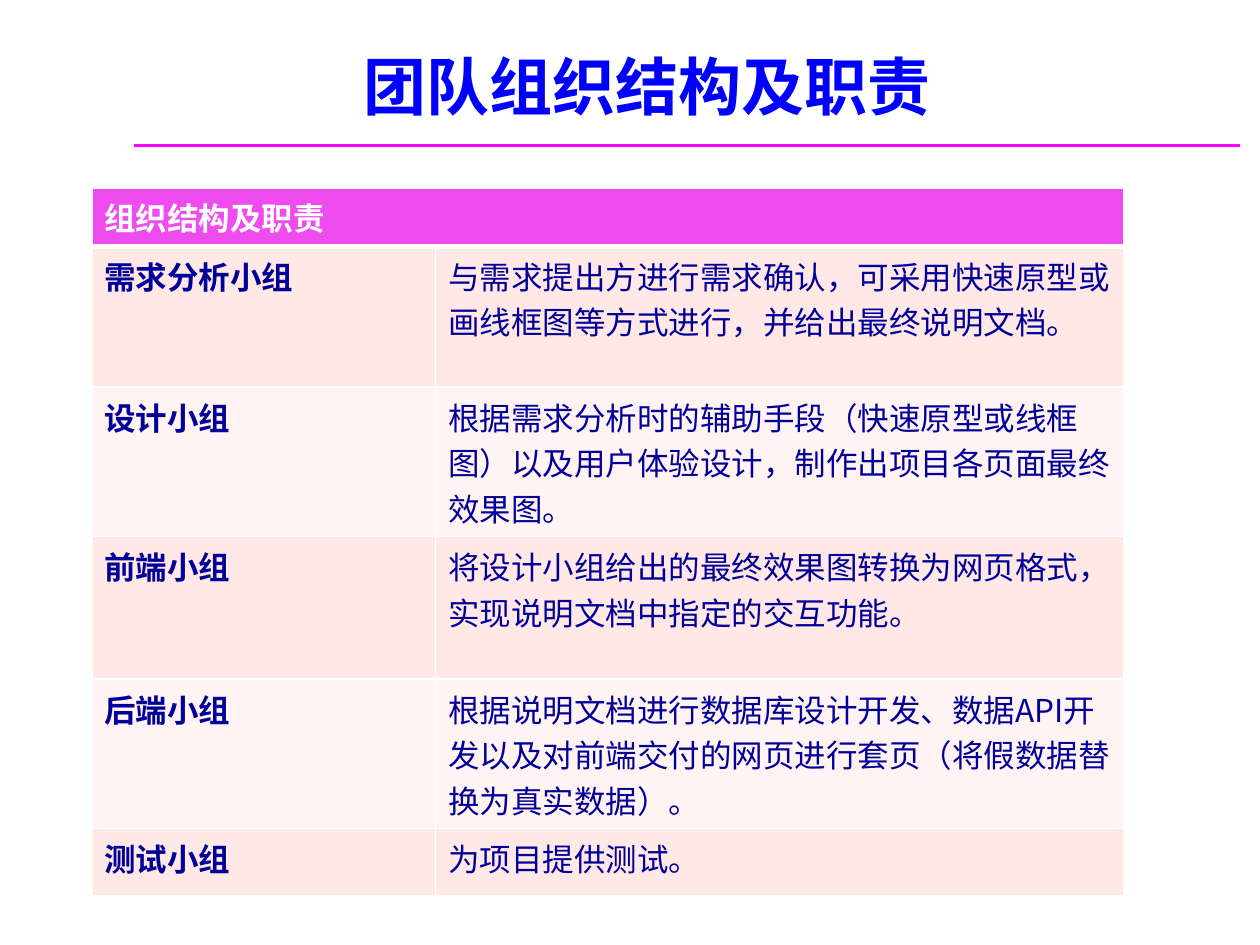
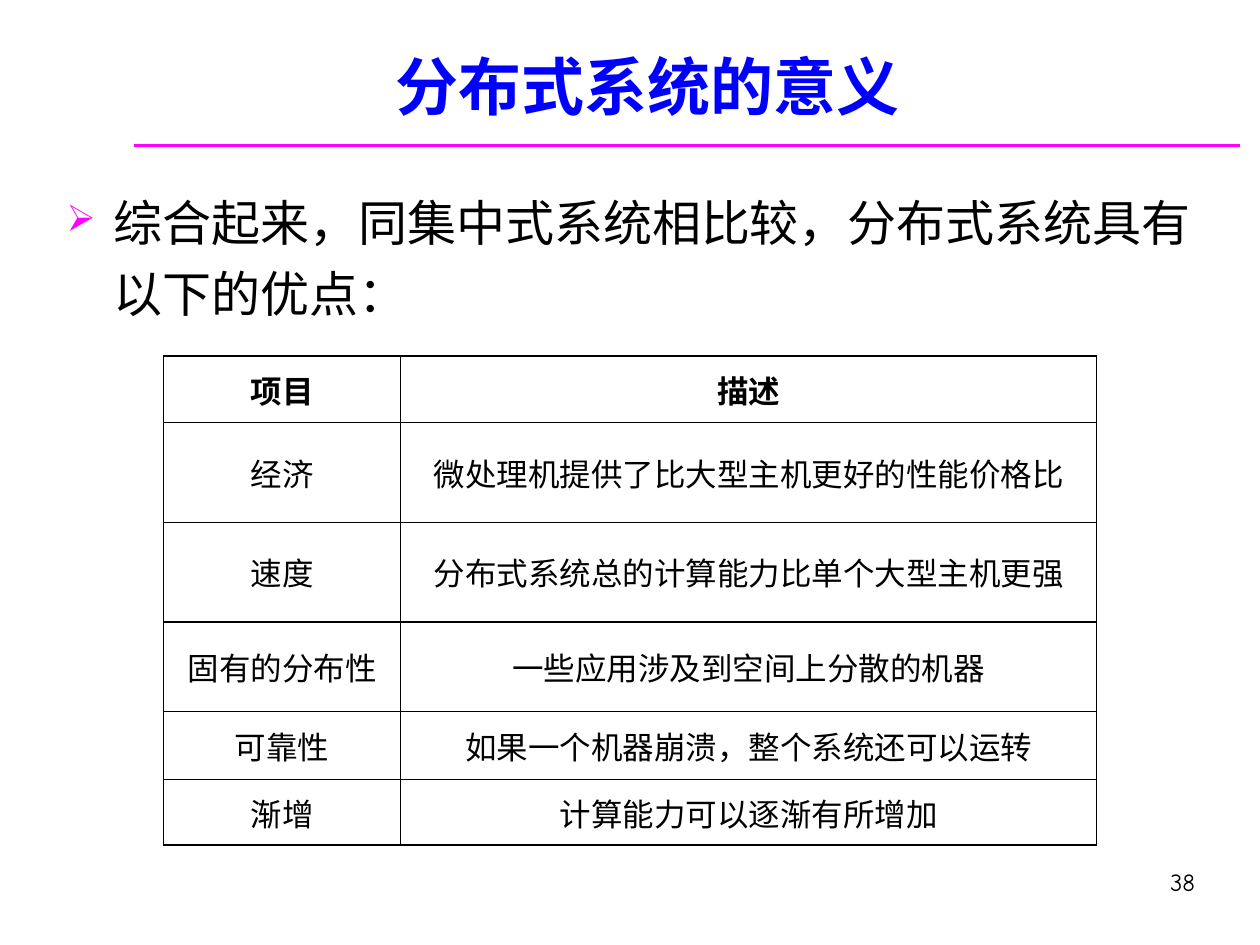
"""Build two slides: team roles and the merits of distributed systems."""
from lxml import etree
from pptx import Presentation
from pptx.dml.color import RGBColor
from pptx.enum import shapes, text
from pptx.oxml import ns
from pptx.util import Pt

COLORS = {
    "title": "0000FF", "rule": "FF00FF", "header": "E700E7", "odd": "FFD3CE",
    "even": "FFEAE8", "navy": "000099", "white": "FFFFFF", "black": "000000",
}
CJK, COMIC, TIMES = "Noto Sans CJK SC", "Comic Neue", "Times New Roman"

TEAM_TITLE = "团队组织结构及职责"
TEAM_HEADER = "组织结构及职责"
TEAMS = [
    ("需求分析小组", "与需求提出方进行需求确认，可采用快速原型或画线框图等方式进行，并给出最终说明文档。"),
    ("设计小组", "根据需求分析时的辅助手段（快速原型或线框图）以及用户体验设计，制作出项目各页面最终效果图。"),
    ("前端小组", "将设计小组给出的最终效果图转换为网页格式，实现说明文档中指定的交互功能。"),
    ("后端小组", "根据说明文档进行数据库设计开发、数据API开发以及对前端交付的网页进行套页（将假数据替换为真实数据）。"),
    ("测试小组", "为项目提供测试。"),
]
TEAM_COLS = (196.5, 393)
TEAM_ROWS = (30.5, 80.5, 81.5, 81.5, 81.5, 38.5)

MERIT_TITLE = "分布式系统的意义"
MERIT_INTRO = "综合起来，同集中式系统相比较，分布式系统具有以下的优点："
MERITS = [
    ("项目", "描述"),
    ("经济", "微处理机提供了比大型主机更好的性能价格比"),
    ("速度", "分布式系统总的计算能力比单个大型主机更强"),
    ("固有的分布性", "一些应用涉及到空间上分散的机器"),
    ("可靠性", "如果一个机器崩溃，整个系统还可以运转"),
    ("渐增", "计算能力可以逐渐有所增加"),
]
MERIT_COLS = (135.5, 397.5)
MERIT_ROWS = (38, 57, 57, 51, 39, 37.5)
PAGE_NUMBER = "38"


def rgb(name):
    return RGBColor.from_string(COLORS[name])


def add_xml(parent, tag, **attrs):
    return etree.SubElement(parent, ns.qn(tag), attrs)


def write(tf, words, size, font, color, bold=False, align=text.PP_ALIGN.LEFT):
    tf.text = words
    p = tf.paragraphs[0]
    p.alignment = align
    p.font.size, p.font.name, p.font.bold = Pt(size), font, bold
    p.font.color.rgb = rgb(color)
    add_xml(p._p.pPr.find(ns.qn("a:defRPr")), "a:ea", typeface=CJK)
    return p


def add_slide(prs, title):
    s = prs.slides.add_slide(prs.slide_layouts[5])
    sp = s.shapes.title
    sp.left, sp.top, sp.width, sp.height = Pt(34), Pt(6.5), Pt(672), Pt(67.5)
    tf = sp.text_frame
    tf.vertical_anchor = text.MSO_ANCHOR.BOTTOM
    tf.auto_size = text.MSO_AUTO_SIZE.NONE
    write(tf, title, 36, CJK, "title", True, text.PP_ALIGN.CENTER)
    rule = s.shapes.add_connector(
        shapes.MSO_CONNECTOR.STRAIGHT, Pt(76.5), Pt(83), Pt(708.5), Pt(83))
    rule.line.color.rgb = rgb("rule")
    rule.line.width = Pt(1.5)
    add_xml(rule._element.spPr, "a:effectLst")
    return s


def add_text(s, left, top, width, height):
    tf = s.shapes.add_textbox(Pt(left), Pt(top), Pt(width), Pt(height)).text_frame
    tf.word_wrap = True
    return tf


def add_table(s, left, top, cols, rows):
    table = s.shapes.add_table(
        len(rows), len(cols), Pt(left), Pt(top), Pt(sum(cols)), Pt(sum(rows))).table
    table.first_row = table.horz_banding = False
    for column, width in zip(table.columns, cols):
        column.width = Pt(width)
    for row, height in zip(table.rows, rows):
        row.height = Pt(height)
    return table


def set_borders(cell, color, top=1, bottom=1):
    tc_pr = cell._tc.get_or_add_tcPr()
    for side, width in (("L", 1), ("R", 1), ("T", top), ("B", bottom)):
        ln = add_xml(tc_pr, "a:ln" + side, w=str(Pt(width)))
        add_xml(add_xml(ln, "a:solidFill"), "a:srgbClr", val=COLORS[color])


def set_fill(cell, color, opacity):
    cell.fill.solid()
    cell.fill.fore_color.rgb = rgb(color)
    clr = cell._tc.tcPr.find(ns.qn("a:solidFill"))[0]
    add_xml(clr, "a:alpha", val=str(opacity * 1000))


def build_teams(prs):
    s = add_slide(prs, TEAM_TITLE)
    table = add_table(s, 52.5, 107.5, TEAM_COLS, TEAM_ROWS)
    for i, row in enumerate([(TEAM_HEADER, "")] + TEAMS):
        for j, words in enumerate(row):
            cell = table.cell(i, j)
            set_borders(cell, "white", 3 if i == 1 else 1, 3 if i == 0 else 1)
            if i == 0:
                set_fill(cell, "header", 70)
            else:
                set_fill(cell, "odd" if i % 2 else "even", 50)
            if words:
                write(cell.text_frame, words, 18, CJK,
                      "navy" if i else "white", j == 0)
    table.cell(0, 0).merge(table.cell(0, 1))


def build_merits(prs):
    s = add_slide(prs, MERIT_TITLE)
    p = write(add_text(s, 31, 100, 659, 100), MERIT_INTRO, 28, COMIC, "black")
    p.line_spacing = 1.2
    p_pr = p._p.pPr
    p_pr.set("marL", str(Pt(27)))
    p_pr.set("indent", str(Pt(-27)))
    bullet = [etree.Element(ns.qn("a:" + tag)) for tag in ("buClr", "buSzPct", "buChar")]
    add_xml(bullet[0], "a:srgbClr", val=COLORS["rule"])
    bullet[1].set("val", "75000")
    bullet[2].set("char", "➢")
    for part in bullet:
        p_pr.find(ns.qn("a:defRPr")).addprevious(part)

    tf = add_text(s, 540, 486, 150, 36)
    tf.vertical_anchor = text.MSO_ANCHOR.MIDDLE
    write(tf, PAGE_NUMBER, 14, COMIC, "black", align=text.PP_ALIGN.RIGHT)

    table = add_table(s, 93.5, 203.5, MERIT_COLS, MERIT_ROWS)
    for i, row in enumerate(MERITS):
        for j, words in enumerate(row):
            cell = table.cell(i, j)
            set_borders(cell, "black")
            cell.fill.background()
            cell.vertical_anchor = text.MSO_ANCHOR.MIDDLE
            cell.margin_left = cell.margin_right = Pt(3)
            cell.margin_top = cell.margin_bottom = Pt(5.5)
            write(cell.text_frame, words, 18, TIMES, "black", i == 0,
                  text.PP_ALIGN.CENTER)


def main():
    prs = Presentation()
    prs.slide_width, prs.slide_height = Pt(720), Pt(540)
    build_teams(prs)
    build_merits(prs)
    prs.save("out.pptx")


if __name__ == "__main__":
    main()
